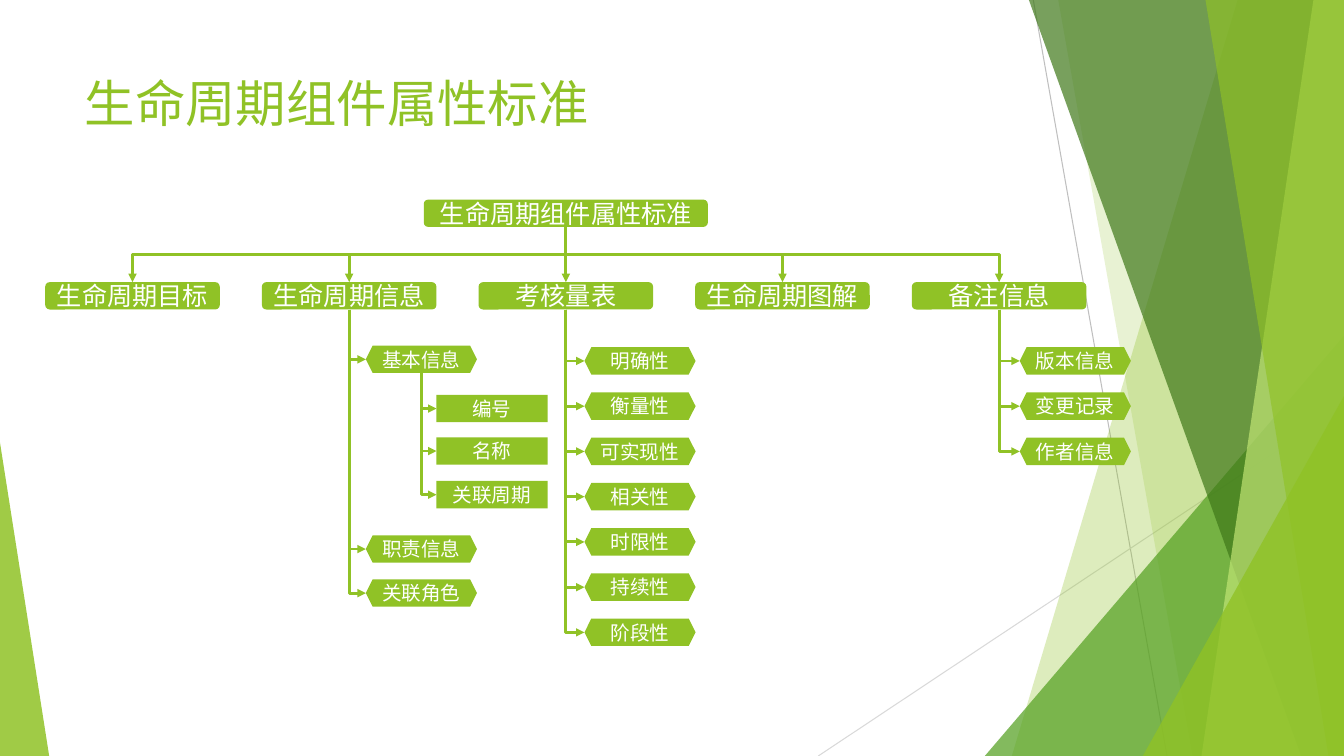
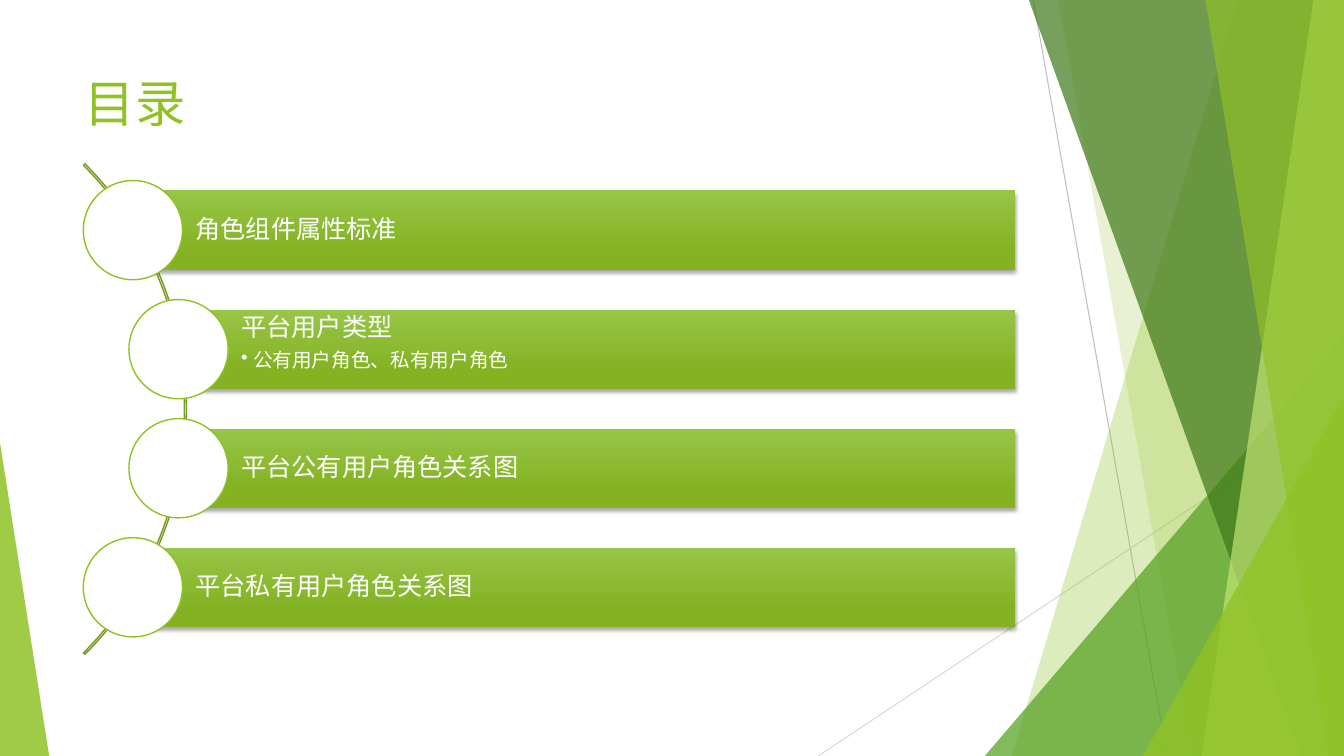
import pptx
import pptx.util
import pptx.dml.color
import pptx.enum.dml
import pptx.enum.shapes
import pptx.enum.text
import pptx.oxml.ns
from lxml import etree

Cm, Pt = pptx.util.Cm, pptx.util.Pt
RGB = pptx.dml.color.RGBColor.from_string
SHAPE = pptx.enum.shapes.MSO_SHAPE
CONNECTOR = pptx.enum.shapes.MSO_CONNECTOR
ANCHOR = pptx.enum.text.MSO_ANCHOR
ALIGN = pptx.enum.text.PP_ALIGN
qn = pptx.oxml.ns.qn

FONT = "Karla"
COLORS = {
    "green": "90C226", "leaf": "54A021", "forest": "3F7819", "lime": "C0E474",
    "arc": "739B1E", "bar_top": "97C547", "bar_bottom": "84B223",
    "white": "FFFFFF", "grey": "BFBFBF", "pale": "D9D9D9", "black": "000000",
}
WIDTH, HEIGHT = 33.87, 19.05
NODE_HEIGHT = 0.69


def add_node(slide, preset, left, top, width, text, size):
    """Green box of the tree with centred white text."""
    node = slide.shapes.add_shape(preset, Cm(left), Cm(top), Cm(width), Cm(NODE_HEIGHT))
    node.shadow.inherit = False
    node.fill.solid()
    node.fill.fore_color.rgb = RGB(COLORS["green"])
    node.line.fill.background()
    frame = node.text_frame
    frame.margin_left = frame.margin_right = frame.margin_top = frame.margin_bottom = 0
    frame.vertical_anchor = ANCHOR.MIDDLE
    label = frame.paragraphs[0]
    label.text = text
    label.alignment = ALIGN.CENTER
    label.font.name, label.font.size = FONT, Pt(size)
    label.font.color.rgb = RGB(COLORS["white"])
    return node


def add_arrow(slide, parent, child, child_site, preset):
    """Arrow that leaves the parent downwards and ends on a site of the child."""
    x1, y1 = parent.left + parent.width // 2, parent.top + parent.height
    if child_site == 0:
        x2, y2 = child.left + child.width // 2, child.top
    else:
        x2, y2 = child.left, child.top + child.height // 2
    across, down = abs(x2 - x1), y2 - y1
    straight = across < Cm(0.05)
    kind = CONNECTOR.STRAIGHT if straight else CONNECTOR.ELBOW
    arrow = slide.shapes.add_connector(kind, x1, y1, x2, y2)
    # A hexagon has no connection site in the middle of its lower side
    if parent.auto_shape_type != SHAPE.HEXAGON:
        arrow.begin_connect(parent, 2)
    arrow.end_connect(child, child_site)
    properties = arrow.element.spPr
    if not straight:
        # The elbow lies on its side: turn it so that it starts downwards
        arrow.left, arrow.top = (x1 + x2 - down) // 2, (y1 + y2 - across) // 2
        arrow.width, arrow.height = down, across
        frame = properties.find(qn("a:xfrm"))
        frame.set("rot", "5400000" if x2 < x1 else "16200000")
        frame.set("flipH", "0" if x2 < x1 else "1")
        frame.set("flipV", "0")
        properties.find(qn("a:prstGeom")).set("prst", preset)
    arrow.line.color.rgb = RGB(COLORS["green"])
    arrow.line.width = Pt(2)
    etree.SubElement(properties.find(qn("a:ln")), qn("a:tailEnd"), type="triangle")
    etree.SubElement(properties, qn("a:effectLst"))


prs = pptx.Presentation()
prs.slide_width, prs.slide_height = Cm(WIDTH), Cm(HEIGHT)
layout = prs.slide_layouts[5]

# Title style, shared through master and layout
title_level = prs.slide_master.element.find(".//" + qn("p:titleStyle")).find(qn("a:lvl1pPr"))
title_level.set("algn", "l")
title_font = title_level.find(qn("a:defRPr"))
title_font.set("sz", "3600")
title_font.find(qn("a:latin")).set("typeface", FONT)
title_fill = title_font.find(qn("a:solidFill"))
title_fill.clear()
etree.SubElement(title_fill, qn("a:srgbClr"), val=COLORS["green"])
layout_title = layout.placeholders[0]
layout_title.left, layout_title.top = Cm(1.88), Cm(1.7)
layout_title.width, layout_title.height = Cm(23.88), Cm(3.66)
layout_title.text_frame.vertical_anchor = ANCHOR.TOP

tree_slide = prs.slides.add_slide(layout)
tree_slide.shapes.title.text = "生命周期组件属性标准"

# Background facets: drawn once, then moved to the layout
facets = []
for x1, y1, x2, y2, color in [(26.04, 0, 29.41, HEIGHT, "grey"),
                              (WIDTH, 10.24, 20.62, HEIGHT, "pale")]:
    ray = tree_slide.shapes.add_connector(CONNECTOR.STRAIGHT, Cm(x1), Cm(y1), Cm(x2), Cm(y2))
    ray.line.color.rgb = RGB(COLORS[color])
    ray.line.width = Pt(0.75)
    etree.SubElement(ray.element.spPr, qn("a:effectLst"))
    facets.append(ray)

# A band has its top and bottom x; a triangle its left, right, top and apex
for kind, geometry, color, opacity in [
    ("band", (31.19, 25.5), "green", 30),
    ("band", (26.67, 30.05), "green", 20),
    ("triangle", (24.82, WIDTH, 8.46, 1), "leaf", 72),
    ("band", (25.93, 32.79), "forest", 70),
    ("band", (33.1, 30.28), "lime", 70),
    ("band", (30.38, 33.48), "green", 65),
    ("triangle", (28.8, WIDTH, 9.98, 1), "green", 80),
    ("triangle", (0, 1.24, 11.15, 0), "green", 85),
]:
    if kind == "band":
        top_x, bottom_x = geometry
        outline = tree_slide.shapes.build_freeform(Cm(top_x), 0)
        outline.add_line_segments([(Cm(WIDTH), 0), (Cm(WIDTH), Cm(HEIGHT)),
                                   (Cm(bottom_x), Cm(HEIGHT))])
        facet = outline.convert_to_shape()
    else:
        left, right, top, apex = geometry
        facet = tree_slide.shapes.add_shape(SHAPE.ISOSCELES_TRIANGLE, Cm(left), Cm(top),
                                            Cm(right - left), Cm(HEIGHT - top))
        facet.adjustments[0] = apex
    facet.shadow.inherit = False
    facet.line.fill.background()
    facet.fill.solid()
    facet.fill.fore_color.rgb = RGB(COLORS[color])
    tint = facet.element.spPr.find(qn("a:solidFill")).find(qn("a:srgbClr"))
    etree.SubElement(tint, qn("a:alpha"), val=str(opacity * 1000))
    facets.append(facet)
for position, facet in enumerate(facets, start=2):
    layout.shapes.element.insert(position, facet.element)

# Slide 1: tree of attributes
BRANCH_LEFT, BRANCH_STEP, BRANCH_WIDTH = 1.14, 5.46, 4.4
ROOT_WIDTH, LEAF_WIDTH = 7.16, 2.8
LEAF_TOP, LEAF_STEP = 8.75, 1.14
root_left = BRANCH_LEFT + 2 * BRANCH_STEP + (BRANCH_WIDTH - ROOT_WIDTH) / 2
root = add_node(tree_slide, SHAPE.ROUNDED_RECTANGLE, root_left, 5.03, ROOT_WIDTH,
                "生命周期组件属性标准", 18)

qualities = ["明确性", "衡量性", "可实现性", "相关性", "时限性", "持续性", "阶段性"]
records = ["版本信息", "变更记录", "作者信息"]
branches = [
    ("生命周期目标", 0, []),
    ("生命周期信息", 9.22, [("基本信息", 8.71), ("职责信息", 13.49), ("关联角色", 14.6)]),
    ("考核量表", 14.73, [(name, LEAF_TOP + i * LEAF_STEP) for i, name in enumerate(qualities)]),
    ("生命周期图解", 0, []),
    ("备注信息", 25.7, [(name, LEAF_TOP + i * LEAF_STEP) for i, name in enumerate(records)]),
]
details = {"基本信息": [("编号", 9.95), ("名称", 11.02), ("关联周期", 12.12)]}
for i, (branch_name, leaf_left, leaves) in enumerate(branches):
    branch = add_node(tree_slide, SHAPE.ROUNDED_RECTANGLE, BRANCH_LEFT + i * BRANCH_STEP,
                      7.11, BRANCH_WIDTH, branch_name, 18)
    add_arrow(tree_slide, root, branch, 0, "bentConnector3")
    for leaf_name, leaf_top in leaves:
        leaf = add_node(tree_slide, SHAPE.HEXAGON, leaf_left, leaf_top, LEAF_WIDTH, leaf_name, 14)
        add_arrow(tree_slide, branch, leaf, 3, "bentConnector2")
        for detail_name, detail_top in details.get(leaf_name, []):
            detail = add_node(tree_slide, SHAPE.RECTANGLE, 11, detail_top, LEAF_WIDTH,
                              detail_name, 14)
            add_arrow(tree_slide, leaf, detail, 1, "bentConnector2")

# Slide 2: contents along an arc
contents_slide = prs.slides.add_slide(layout)
contents_slide.shapes.title.text = "目录"
arc = contents_slide.shapes.add_shape(SHAPE.BLOCK_ARC, Cm(-12.78), Cm(1.57), Cm(17.48), Cm(17.48))
for i, value in enumerate((189, 27, 0.003)):
    arc.adjustments[i] = value
arc.shadow.inherit = False
arc.fill.background()
arc.line.color.rgb = RGB(COLORS["arc"])
arc.line.width = Pt(1)

BAR_TOP, BAR_STEP, BAR_HEIGHT, BAR_RIGHT, DOT = 4.8, 3, 2, 25.58, 2.5
for i, (bar_left, topic, subtopic) in enumerate([
    (3.35, "角色组件属性标准", ""),
    (4.5, "平台用户类型", "公有用户角色、私有用户角色"),
    (4.5, "平台公有用户角色关系图", ""),
    (3.35, "平台私有用户角色关系图", ""),
]):
    bar_top = BAR_TOP + i * BAR_STEP
    bar = contents_slide.shapes.add_shape(SHAPE.RECTANGLE, Cm(bar_left), Cm(bar_top),
                                          Cm(BAR_RIGHT - bar_left), Cm(BAR_HEIGHT))
    bar.line.fill.background()
    bar.fill.gradient()
    bar.fill.gradient_angle = 270
    for stop, color, place in zip(bar.fill.gradient_stops, ("bar_top", "bar_bottom"), (0, 0.78)):
        stop.color.rgb = RGB(COLORS[color])
        stop.position = place
    bar.shadow.inherit = False
    shadow = etree.SubElement(bar.element.spPr.find(qn("a:effectLst")), qn("a:outerShdw"),
                              blurRad=str(Pt(3)), dist=str(Pt(2)), dir="5400000", rotWithShape="0")
    shade = etree.SubElement(shadow, qn("a:srgbClr"), val=COLORS["black"])
    etree.SubElement(shade, qn("a:alpha"), val="35000")

    frame = bar.text_frame
    frame.margin_left = Cm(1.58)
    frame.margin_right = frame.margin_top = frame.margin_bottom = Cm(0.13)
    frame.vertical_anchor = ANCHOR.TOP if subtopic else ANCHOR.MIDDLE
    lines = [(topic, 18, 6.3)] + ([(subtopic, 14, 2.1)] if subtopic else [])
    frame.text = "\n".join(text for text, size, gap in lines)
    for line, (text, size, gap) in zip(frame.paragraphs, lines):
        line.alignment = ALIGN.LEFT
        line.line_spacing, line.space_after = 0.9, Pt(gap)
        line.font.name, line.font.size = FONT, Pt(size)
        line.font.color.rgb = RGB(COLORS["white"])
    if subtopic:
        bullet = frame.paragraphs[1]._p.get_or_add_pPr()
        bullet.set("marL", str(Cm(0.3)))
        bullet.set("indent", str(-Cm(0.3)))
        etree.SubElement(bullet, qn("a:buChar"), char="•")

    dot = contents_slide.shapes.add_shape(SHAPE.OVAL, Cm(bar_left - DOT / 2),
                                          Cm(bar_top + (BAR_HEIGHT - DOT) / 2), Cm(DOT), Cm(DOT))
    dot.shadow.inherit = False
    dot.fill.solid()
    dot.fill.fore_color.rgb = RGB(COLORS["white"])
    dot.line.color.rgb = RGB(COLORS["green"])
    dot.line.width = Pt(1)

prs.save("out.pptx")
